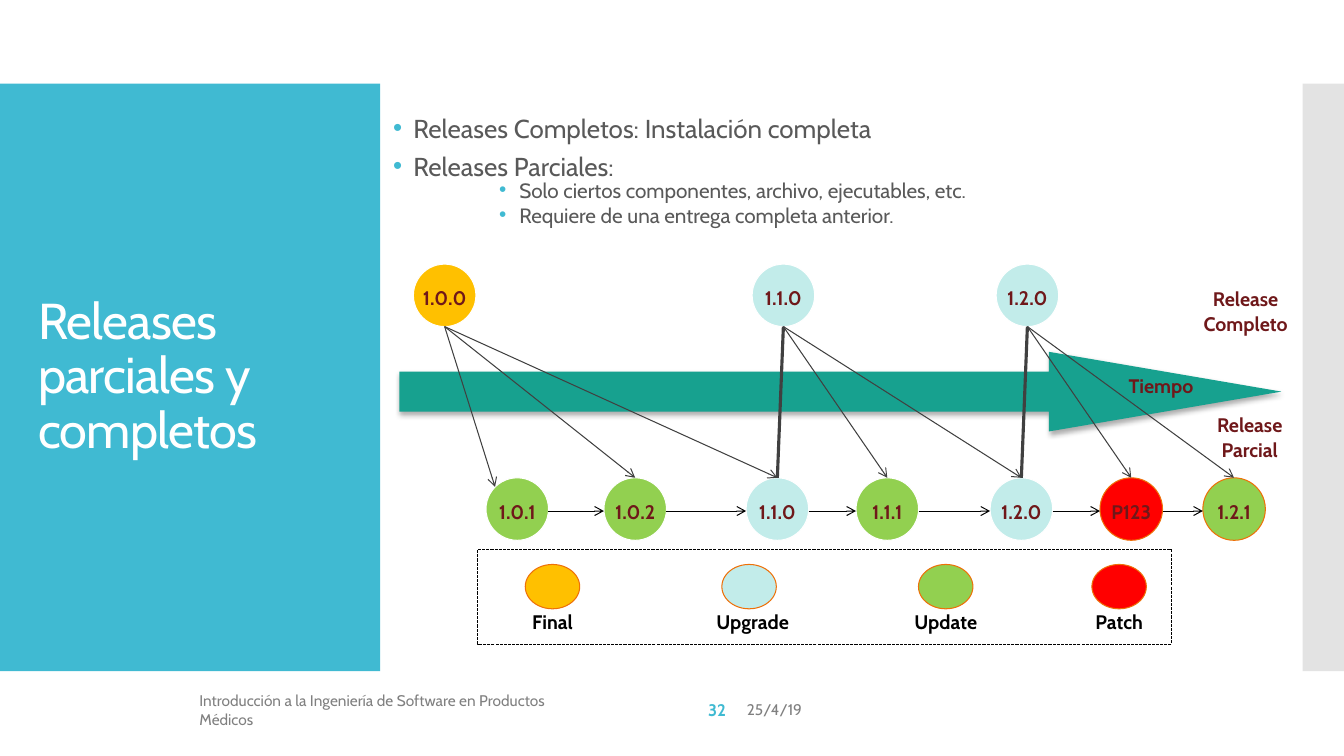
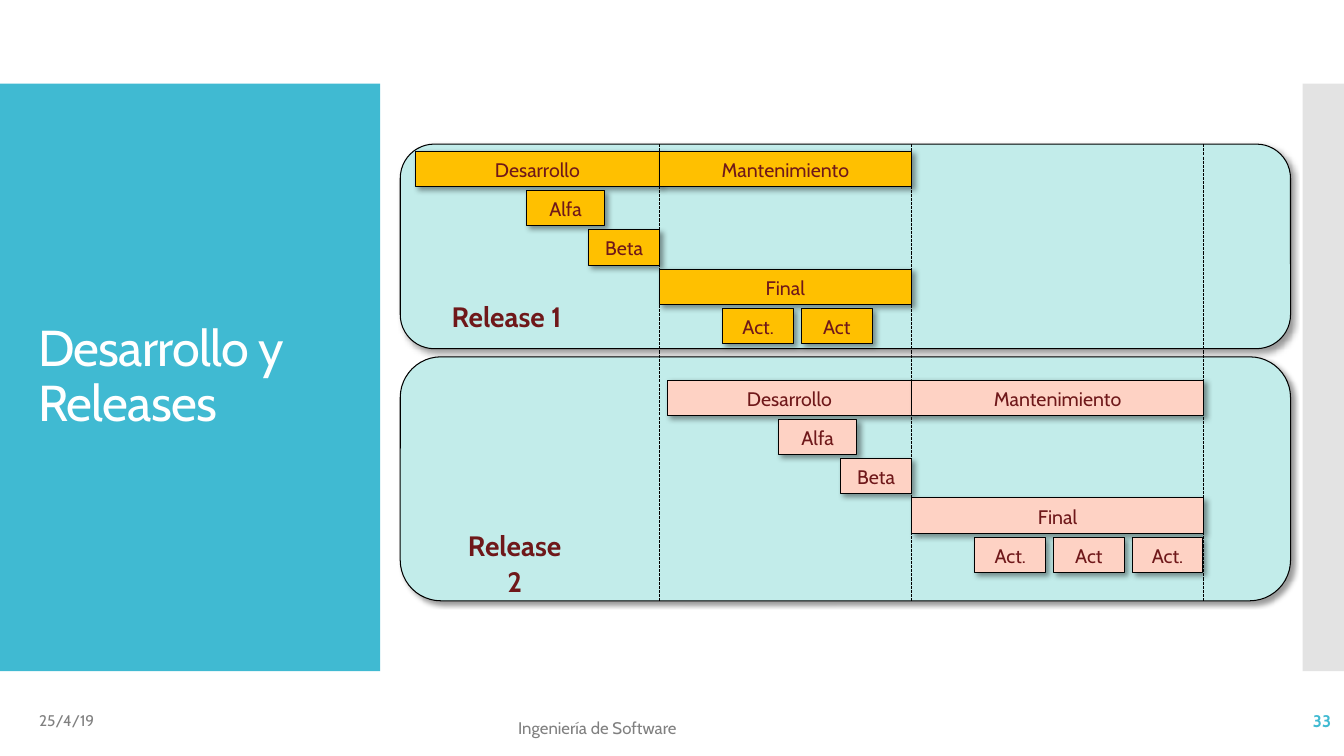
from lxml import etree
from pptx import Presentation
from pptx import util as u
from pptx.dml.color import RGBColor
from pptx.enum import dml, shapes, text
from pptx.oxml.ns import qn

# Shared style: lengths are px, 100 to the inch
PX = 9144
FONT = "Cabin"
CYAN, PANEL_GREY, WHITE, BLACK = "40BAD2", "E3E3E3", "FFFFFF", "000000"
GREY, BODY_GREY, DARK, MAROON = "808080", "595959", "404040", "6F181A"
AMBER, GREEN, AQUA, RED, ORANGE = "FFC000", "92D050", "C2ECEA", "FF0000", "EE7008"
TEAL, PINK = "17A18F", "FED2C4"
BANDS = [((0, 83, 377, 583), CYAN), ((1292, 83, 42, 583), PANEL_GREY)]
TITLE_BOX = (28, 123, 322, 503)
LEFT, CENTER, RIGHT = text.PP_ALIGN.LEFT, text.PP_ALIGN.CENTER, text.PP_ALIGN.RIGHT
TOP, MIDDLE = text.MSO_ANCHOR.TOP, text.MSO_ANCHOR.MIDDLE
KIND = shapes.MSO_SHAPE
BOX_SHADOW = dict(alpha=40, blur=4, distance=3, angle=45)
ARROW_SHADOW = dict(alpha=32, blur=3.5, distance=2.2, angle=90)

# Content of the partial and complete releases slide
BULLETS = [
    (0, "Releases Completos: Instalación completa"),
    (0, "Releases Parciales:"),
    (2, "Solo ciertos componentes, archivo, ejecutables, etc."),
    (2, "Requiere de una entrega completa anterior."),
]
BULLET_STYLES = {  # level: size, left margin, space before, space after
    0: (18.5, 20, 12, 0),
    2: (14.8, 125, 2.5, 2.5),
}
CIRCLE, FULL_TOP, PARTIAL_TOP = 62, 262, 474
FULL_RELEASES = [("1.0.0", 410, AMBER), ("1.1.0", 746, AQUA), ("1.2.0", 988, AQUA)]
PARTIAL_RELEASES = [
    ("1.0.1", 482, GREEN, WHITE), ("1.0.2", 599, GREEN, WHITE),
    ("1.1.0", 740, AQUA, WHITE), ("1.1.1", 849, GREEN, WHITE),
    ("1.2.0", 982, AQUA, WHITE), ("P123", 1091, RED, ORANGE),
    ("1.2.1", 1193, GREEN, ORANGE),
]
DERIVED = [(0, 1), (0, 2), (1, 3), (1, 4), (2, 5), (2, 6)]  # full, partial
SAME_RELEASE = [(1, 2), (2, 4)]
CAPTIONS = [("Tiempo", (1104, 365, 95, 34)),
            ("Release Parcial", (1185, 404, 109, 60)),
            ("Release Completo", (1177, 279, 117, 60))]
LEGEND = [("Final", 521, 102, AMBER), ("Upgrade", 716, 109, AQUA),
          ("Update", 911, 102, GREEN), ("Patch", 1083, 102, RED)]
LEGEND_BOX = (474, 545, 688, 94)

# Content of the development slide
MILESTONES = [654, 904, 1194]
PANELS = [(397, 354, 883, 242), (397, 143, 883, 203)]
RELEASES = [  # name, name box, first row, colour, updates
    ("Release 1", (436, 291, 133, 44), 150, AMBER, ["Act.", "Act"]),
    ("Release 2", (444, 518, 133, 44), 377, PINK, ["Act.", "Act", "Act."]),
]
ROW_PITCH, BAR_HEIGHT = 39, 35
UPDATE_START, UPDATE_PITCH, UPDATE_WIDTH = 63, 78, 70

# Footers: text, box, size, colour, bold, alignment
FOOTERS_1 = [
    ("25/4/19", (731, 684, 414, 40), 11, GREY, False, LEFT),
    ("Introducción a la Ingeniería de Software en Productos Médicos",
     (188, 684, 414, 40), 11, GREY, False, LEFT),
    ("32", (603, 684, 127, 40), 12, CYAN, True, RIGHT),
]
FOOTERS_2 = [
    ("25/4/19", (29, 695, 300, 40), 11, GREY, False, LEFT),
    ("Ingeniería de Software", (504, 702, 317, 40), 12, GREY, False, LEFT),
    ("33", (1163, 695, 167, 40), 12, CYAN, True, RIGHT),
]


def emu(lengths):
    return [u.Emu(round(length * PX)) for length in lengths]


def rgb(color):
    return RGBColor.from_string(color)


def add_xml(parent, tag, **attributes):
    return etree.SubElement(parent, qn(tag), attributes)


def write(para, words, size=14, color=MAROON, bold=False, align=CENTER, spacing=1.05):
    para.alignment, para.line_spacing = align, spacing
    span = para.add_run()
    span.text = words
    font = span.font
    font.name, font.size, font.bold = FONT, u.Pt(size), bold
    font.color.rgb = rgb(color)
    return span


def add_label(page, box, words, anchor=TOP, **style):
    frame = page.shapes.add_textbox(*emu(box)).text_frame
    frame.word_wrap, frame.vertical_anchor = True, anchor
    write(frame.paragraphs[0], words, **style)


def add_block(page, kind, box, fill=None, line=None, shadow=None):
    block = page.shapes.add_shape(kind, *emu(box))
    block.shadow.inherit = False
    if fill:
        block.fill.solid()
        block.fill.fore_color.rgb = rgb(fill)
    else:
        block.fill.background()
    if line:
        block.line.color.rgb = rgb(line)
        block.line.width = u.Pt(0.75)
    else:
        block.line.fill.background()
    if shadow:
        effects = block._element.spPr.find(qn("a:effectLst"))
        outer = add_xml(effects, "a:outerShdw", blurRad=str(u.Pt(shadow["blur"])),
                        dist=str(u.Pt(shadow["distance"])),
                        dir=str(shadow["angle"] * 60000), algn="ctr", rotWithShape="0")
        shade = add_xml(outer, "a:srgbClr", val=BLACK)
        add_xml(shade, "a:alpha", val=str(shadow["alpha"] * 1000))
    return block


def write_inside(block, words, margins=None, **style):
    frame = block.text_frame
    frame.vertical_anchor = MIDDLE
    if margins:
        frame.word_wrap = False
        (frame.margin_left, frame.margin_top,
         frame.margin_right, frame.margin_bottom) = emu(margins)
    write(frame.paragraphs[0], words, **style)


def add_line(page, start, end, color=BLACK, width=0.75, dashed=False, arrow=False):
    link = page.shapes.add_connector(shapes.MSO_CONNECTOR.STRAIGHT, *emu(start + end))
    link.line.color.rgb = rgb(color)
    link.line.width = u.Pt(width)
    if dashed:
        link.line.dash_style = dml.MSO_LINE.SQUARE_DOT
    properties = link._element.spPr
    if arrow:
        add_xml(properties.find(qn("a:ln")), "a:tailEnd", type="arrow")
    add_xml(properties, "a:effectLst")


def place(holder, box, anchor):
    holder.left, holder.top, holder.width, holder.height = emu(box)
    frame = holder.text_frame
    frame.word_wrap, frame.auto_size = True, text.MSO_AUTO_SIZE.NONE
    frame.vertical_anchor = anchor
    return frame


def add_page(deck, layout, title, footers):
    page = deck.slides.add_slide(deck.slide_layouts[layout])
    # Bands go behind the placeholders
    for position, (box, color) in enumerate(BANDS, start=2):
        band = add_block(page, KIND.RECTANGLE, box, color)
        page.shapes._spTree.insert(position, band._element)
    frame = place(page.shapes.title, TITLE_BOX, MIDDLE)
    span = write(frame.paragraphs[0], title, size=36, color=WHITE, align=LEFT, spacing=0.9)
    span._r.get_or_add_rPr().set("spc", "-60")
    for words, box, size, color, bold, align in footers:
        add_label(page, box, words, anchor=MIDDLE, size=size, color=color,
                  bold=bold, align=align, spacing=1)
    return page


def add_bullets(holder):
    frame = place(holder, (380, 115, 883, 125), TOP)
    for index, (level, words) in enumerate(BULLETS):
        para = frame.add_paragraph() if index else frame.paragraphs[0]
        size, margin, before, after = BULLET_STYLES[level]
        para.level = level
        write(para, words, size=size, color=BODY_GREY, align=LEFT, spacing=0.7)
        para.space_before = u.Pt(before if index else 0)
        para.space_after = u.Pt(after)
        properties = para._p.get_or_add_pPr()
        properties.set("marL", str(margin * PX))
        properties.set("indent", str(-20 * PX))
        add_xml(add_xml(properties, "a:buClr"), "a:srgbClr", val=CYAN)
        add_xml(properties, "a:buFont", typeface="Arial")
        add_xml(properties, "a:buChar", char="•")


def add_release(page, left, top, name, fill, line):
    circle = add_block(page, KIND.OVAL, (left, top, CIRCLE, CIRCLE), fill, line)
    write_inside(circle, name, margins=(0, 4, 0, 0), bold=True)


def build_versions(deck):
    page = add_page(deck, 1, "Releases parciales y completos", FOOTERS_1)
    add_bullets(page.placeholders[1])
    arrow = add_block(page, KIND.RIGHT_ARROW, (396, 349, 875, 79), TEAL, shadow=ARROW_SHADOW)
    arrow.adjustments[0], arrow.adjustments[1] = 0.5, 2.92

    # Release circles
    for name, left, fill in FULL_RELEASES:
        add_release(page, left, FULL_TOP, name, fill, WHITE)
    for name, left, fill, line in PARTIAL_RELEASES:
        add_release(page, left, PARTIAL_TOP, name, fill, line)

    # Links between the two rows and along the lower one
    radius = CIRCLE // 2
    sources = [(left + radius, FULL_TOP + CIRCLE) for _, left, _ in FULL_RELEASES]
    lefts = [left for _, left, _, _ in PARTIAL_RELEASES]
    targets = [(left + radius, PARTIAL_TOP) for left in lefts]
    corner = round(radius * 0.29)
    add_line(page, sources[0], (lefts[0] + corner, PARTIAL_TOP + corner), DARK, arrow=True)
    for full, partial in DERIVED:
        add_line(page, sources[full], targets[partial], DARK, arrow=True)
    for full, partial in SAME_RELEASE:
        add_line(page, sources[full], targets[partial], DARK, width=2.25)
    level = PARTIAL_TOP + radius + 2
    for left, following in zip(lefts, lefts[1:]):
        add_line(page, (left + CIRCLE, level), (following, level), arrow=True)
    for words, box in CAPTIONS:
        add_label(page, box, words, bold=True)

    # Legend
    for words, left, width, fill in LEGEND:
        add_block(page, KIND.OVAL, (left, 560, 54, 44), fill, ORANGE)
        add_label(page, (left - 24, 599, width, 35), words, color=BLACK, bold=True)
    frame = add_block(page, KIND.RECTANGLE, LEGEND_BOX, line=BLACK)
    frame.line.dash_style = dml.MSO_LINE.SQUARE_DOT


def build_schedule(deck):
    page = add_page(deck, 5, "Desarrollo y Releases", FOOTERS_2)
    for box in PANELS:
        add_block(page, KIND.ROUNDED_RECTANGLE, box, AQUA, BLACK, BOX_SHADOW)

    # Bars are placed from the milestone at which each release goes final
    spans = zip(MILESTONES, MILESTONES[1:])
    for (start, end), (_, _, top, fill, updates) in zip(spans, RELEASES):
        bars = [("Desarrollo", -242, 242, 0), ("Mantenimiento", 0, end - start, 0),
                ("Alfa", -132, 78, 1), ("Beta", -70, 70, 2), ("Final", 0, end - start, 3)]
        bars += [(words, UPDATE_START + UPDATE_PITCH * index, UPDATE_WIDTH, 4)
                 for index, words in enumerate(updates)]
        for words, offset, width, row in bars:
            box = (start + offset, top + ROW_PITCH * row, width, BAR_HEIGHT)
            bar = add_block(page, KIND.RECTANGLE, box, fill, BLACK, BOX_SHADOW)
            write_inside(bar, words)

    # Milestone lines and release names
    for milestone in MILESTONES:
        add_line(page, (milestone, 143), (milestone, 596), dashed=True)
    for name, box, *_ in RELEASES:
        add_label(page, box, name, size=20, bold=True)


def main():
    deck = Presentation()
    deck.slide_width, deck.slide_height = emu((1333, 750))
    build_versions(deck)
    build_schedule(deck)
    deck.save("out.pptx")


if __name__ == "__main__":
    main()
